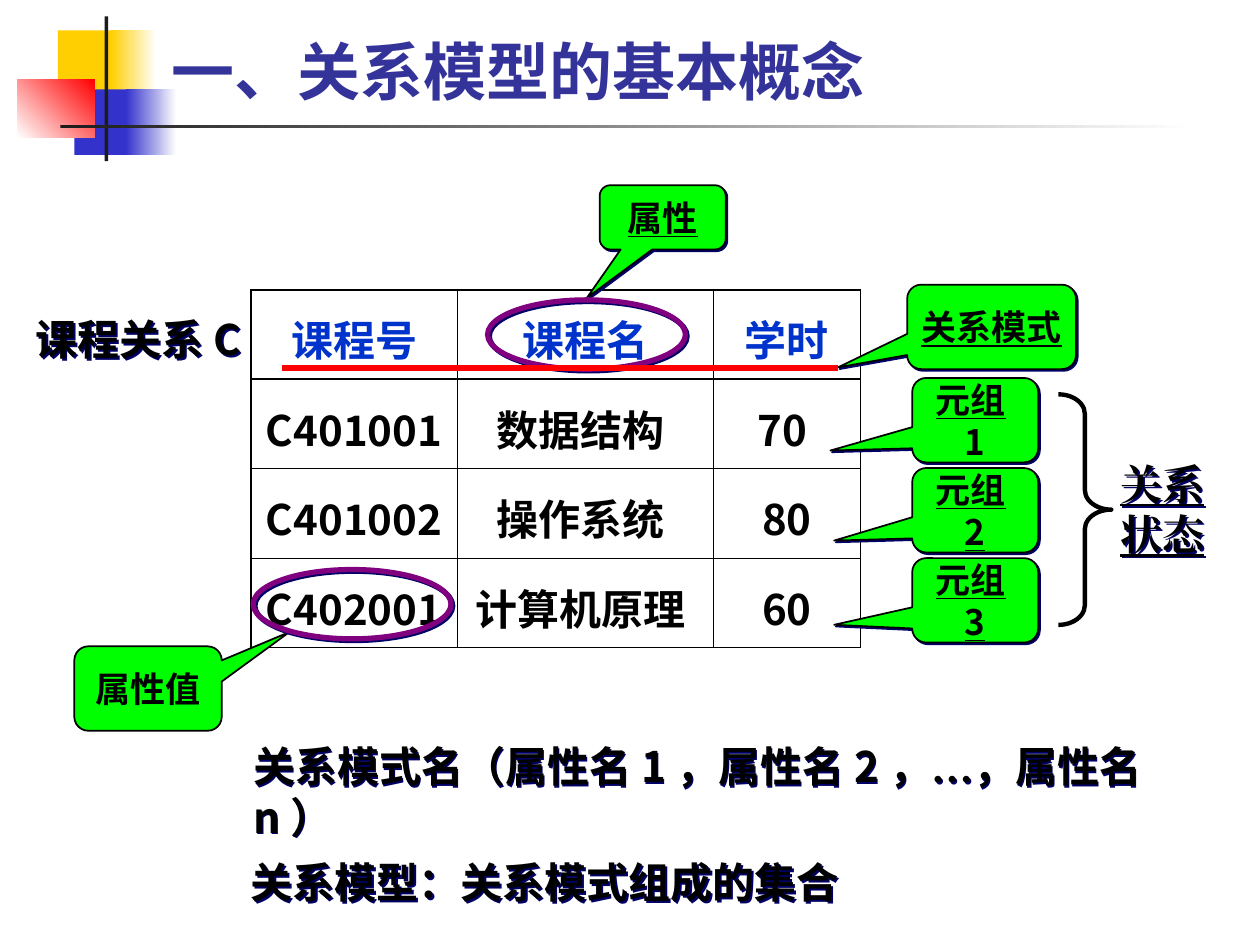
from typing import NamedTuple, Optional

from lxml.etree import SubElement
from pptx import Presentation
from pptx.dml.color import RGBColor
from pptx.enum.shapes import MSO_CONNECTOR, MSO_SHAPE
from pptx.enum.text import MSO_ANCHOR, PP_ALIGN
from pptx.oxml import parse_xml
from pptx.oxml.ns import nsdecls, qn
from pptx.util import Inches, Pt

BLACK = RGBColor(0x00, 0x00, 0x00)
WHITE = RGBColor(0xFF, 0xFF, 0xFF)
CHARCOAL = RGBColor(0x1C, 0x1C, 0x1C)
YELLOW = RGBColor(0xFF, 0xCF, 0x01)
BLUE = RGBColor(0x33, 0x33, 0xCC)
RED = RGBColor(0xFF, 0x00, 0x00)
GREEN = RGBColor(0x00, 0xFF, 0x00)
PURPLE = RGBColor(0x80, 0x00, 0x80)
NAVY = RGBColor(0x00, 0x00, 0x66)
HEADER_BLUE = RGBColor(0x00, 0x33, 0xCC)
TITLE_BLUE = RGBColor(0x33, 0x33, 0x99)
SANS, SERIF, TITLE_FONT = "Noto Sans CJK SC", "Times New Roman", "Lato"
THICK, THIN = 1.08, 0.45


class Box(NamedTuple):
    left: float
    top: float
    width: float
    height: float


class Run(NamedTuple):
    text: str
    size: float = 24
    font: str = SANS
    color: RGBColor = BLACK
    underline: bool = False


class Bar(NamedTuple):
    box: Box
    color: RGBColor
    fade_to: Optional[RGBColor] = None
    angle: float = 0


class Callout(NamedTuple):
    box: Box
    tip: tuple[float, float]
    runs: list[Run]
    margin: float = 0.1
    shadow: bool = True


class Label(NamedTuple):
    box: Box
    paragraphs: list[list[Run]]
    align: PP_ALIGN = PP_ALIGN.LEFT
    margins: tuple[float, float] = (0, 0)
    wrap: bool = True
    anchor: MSO_ANCHOR = MSO_ANCHOR.TOP
    shadow: bool = True


def inches(box: Box) -> list[int]:
    return [Inches(length) for length in box]


def set_shadow(shape, visible: bool) -> None:
    """Drop the theme shadow and, if visible, cast a hard navy one."""
    shape.shadow.inherit = False
    if visible:
        effects = shape._element.spPr.find(qn("a:effectLst"))
        effects.append(parse_xml(
            f'<a:outerShdw {nsdecls("a")} dist="{Pt(1.4)}" dir="2700000" algn="ctr" rotWithShape="0">'
            f'<a:srgbClr val="{NAVY}"/></a:outerShdw>'))


def write(paragraph, runs: list[Run], align: PP_ALIGN) -> None:
    paragraph.alignment = align
    for part in runs:
        run = paragraph.add_run()
        run.text = part.text
        font_format = {"size": Pt(part.size), "name": part.font,
                       "bold": True, "underline": part.underline}
        for key, value in font_format.items():
            setattr(run.font, key, value)
        run.font.color.rgb = part.color
        SubElement(run.font._element, qn("a:ea"), typeface=part.font)


def set_frame(frame, margins: tuple[float, float], wrap: bool, anchor: MSO_ANCHOR) -> None:
    side, end = (Inches(margin) for margin in margins)
    frame_format = {"margin_left": side, "margin_right": side, "margin_top": end,
                    "margin_bottom": end, "word_wrap": wrap, "vertical_anchor": anchor}
    for key, value in frame_format.items():
        setattr(frame, key, value)


def draw_bar(slide, bar: Bar) -> None:
    shape = slide.shapes.add_shape(MSO_SHAPE.RECTANGLE, *inches(bar.box))
    if bar.fade_to is None:
        shape.fill.solid()
        shape.fill.fore_color.rgb = bar.color
    else:
        shape.fill.gradient()
        shape.fill.gradient_angle = bar.angle
        for stop, color in zip(shape.fill.gradient_stops, (bar.color, bar.fade_to)):
            stop.color.rgb = color
    shape.line.fill.background()
    set_shadow(shape, False)


def draw_outline(slide, kind: MSO_SHAPE, box: Box, color: RGBColor, weight: float, shadow: bool):
    shape = slide.shapes.add_shape(kind, *inches(box))
    shape.fill.background()
    shape.line.color.rgb = color
    shape.line.width = Pt(weight)
    set_shadow(shape, shadow)
    return shape


def draw_callout(slide, callout: Callout) -> None:
    shape = draw_outline(slide, MSO_SHAPE.ROUNDED_RECTANGULAR_CALLOUT, callout.box,
                         BLACK, 1, callout.shadow)
    shape.adjustments[0], shape.adjustments[1] = callout.tip
    shape.fill.solid()
    shape.fill.fore_color.rgb = GREEN
    set_frame(shape.text_frame, (callout.margin, 0.05), True, MSO_ANCHOR.MIDDLE)
    write(shape.text_frame.paragraphs[0], callout.runs, PP_ALIGN.CENTER)


def draw_label(slide, label: Label) -> None:
    shape = slide.shapes.add_textbox(*inches(label.box))
    frame = shape.text_frame
    set_frame(frame, label.margins, label.wrap, label.anchor)
    for index, runs in enumerate(label.paragraphs):
        write(frame.add_paragraph() if index else frame.paragraphs[0], runs, label.align)
    set_shadow(shape, label.shadow)


def set_borders(cell, weights: dict[str, float]) -> None:
    for index, (side, weight) in enumerate(weights.items()):
        cell._tc.get_or_add_tcPr().insert(index, parse_xml(
            f'<a:ln{side} {nsdecls("a")} w="{Pt(weight)}"><a:solidFill>'
            f'<a:srgbClr val="{BLACK}"/></a:solidFill></a:ln{side}>'))


def draw_course_table(slide, rows: list[list[str]], widths: list[float], row_height: float) -> None:
    box = Box(1.99, 2.3, sum(widths), row_height * len(rows))
    table = slide.shapes.add_table(len(rows), len(widths), *inches(box)).table
    table.first_row = table.horz_banding = False
    for column, width in zip(table.columns, widths):
        column.width = Inches(width)
    last_row, last_column = len(rows) - 1, len(widths) - 1
    for r, texts in enumerate(rows):
        for c, text in enumerate(texts):
            cell = table.cell(r, c)
            cell.fill.background()
            set_borders(cell, {"L": THICK if c == 0 else THIN,
                               "R": THICK if c == last_column else THIN,
                               "T": THICK if r in (0, 1) else THIN,
                               "B": THICK if r in (0, last_row) else THIN})
            paragraph = cell.text_frame.paragraphs[0]
            paragraph.line_spacing = 1.2
            write(paragraph, [Run(text, color=BLACK if r else HEADER_BLUE)], PP_ALIGN.CENTER)


BARS = [
    Bar(Box(0.46, 0.24, 0.48, 0.52), YELLOW),
    Bar(Box(0.88, 0.24, 0.36, 0.52), YELLOW, WHITE),
    Bar(Box(0.59, 0.71, 0.46, 0.52), BLUE),
    Bar(Box(1, 0.71, 0.4, 0.52), BLUE, WHITE),
    Bar(Box(0.14, 0.63, 0.61, 0.46), WHITE, RED, 45),
    Bar(Box(0.83, 0.13, 0.03, 1.15), CHARCOAL),
    Bar(Box(0.48, 0.99, 9, 0.03), CHARCOAL, WHITE),
]
COURSES = [
    ["课程号", "课程名", "学时"],
    ["C401001", "数据结构 ", "70 "],
    ["C401002 ", "操作系统 ", "80"],
    ["C402001 ", "计算机原理 ", "60"],
]
TUPLE_TIPS = [(-1.15, 0.36), (-1.12, 0.36), (-1.12, 0.29)]
TUPLE_CALLOUTS = [
    Callout(Box(7.24, 3 + 0.715 * i, 1, 0.67), tip,
            [Run("元组", 20, underline=True), Run(str(i + 1), 20, underline=i > 0)])
    for i, tip in enumerate(TUPLE_TIPS)
]
CONCEPT_CALLOUTS = [
    Callout(Box(0.59, 5.13, 1.17, 0.67), (0.96, -0.67), [Run("属性值", 20)], shadow=False),
    Callout(Box(4.76, 1.47, 1, 0.51), (-0.6, 1.25), [Run("属性", 20, underline=True)]),
    Callout(Box(7.2, 2.26, 1.34, 0.67), (-0.91, 0.48),
            [Run("关系模式", 20, underline=True)], margin=0),
]
RINGS = [Box(2.01, 4.52, 1.57, 0.55), Box(3.87, 2.38, 1.57, 0.55)]
LABELS = [
    Label(Box(0.15, 2.44, 1.9, 0.5), [[Run("课程关系C ")]], PP_ALIGN.CENTER, (0.1, 0.05), wrap=False),
    Label(Box(8.7, 3.59, 1.05, 0.9),
          [[Run(word, font=SERIF, underline=True)] for word in ("关系", "状态")],
          PP_ALIGN.CENTER, (0, 0.05)),
    Label(Box(2.01, 5.88, 7.32, 0.8),
          [[Run("关系模式名（属性名1，属性名2，"), Run("…", font=SERIF), Run("，属性名n）")]]),
    Label(Box(1.99, 6.8, 7.32, 0.4), [[Run("关系模型：关系模式组成的集合")]]),
    Label(Box(1.26, 0.23, 8.52, 0.68),
          [[Run("一、关系模型的基本概念", 36, TITLE_FONT, TITLE_BLUE)]],
          margins=(0.1, 0.05), anchor=MSO_ANCHOR.BOTTOM, shadow=False),
]


def main() -> None:
    deck = Presentation()
    deck.slide_width, deck.slide_height = Inches(10), Inches(7.5)
    slide = deck.slides.add_slide(deck.slide_layouts[6])
    for bar in BARS:
        draw_bar(slide, bar)
    draw_course_table(slide, COURSES, [1.64, 2.03, 1.17], 0.71)
    for callout in TUPLE_CALLOUTS + CONCEPT_CALLOUTS:
        draw_callout(slide, callout)
    brace = draw_outline(slide, MSO_SHAPE.RIGHT_BRACE, Box(8.4, 3.13, 0.42, 1.83), BLACK, 2.5, False)
    brace.adjustments[0] = 0.37
    for ring in RINGS:
        draw_outline(slide, MSO_SHAPE.OVAL, ring, PURPLE, 3, True)
    schema_line = slide.shapes.add_connector(
        MSO_CONNECTOR.STRAIGHT, Inches(2.24), Inches(2.92), Inches(6.65), Inches(2.92))
    schema_line.line.color.rgb = RED
    schema_line.line.width = Pt(3)
    SubElement(schema_line._element.spPr, qn("a:effectLst"))
    for label in LABELS:
        draw_label(slide, label)
    deck.save("out.pptx")


if __name__ == "__main__":
    main()
